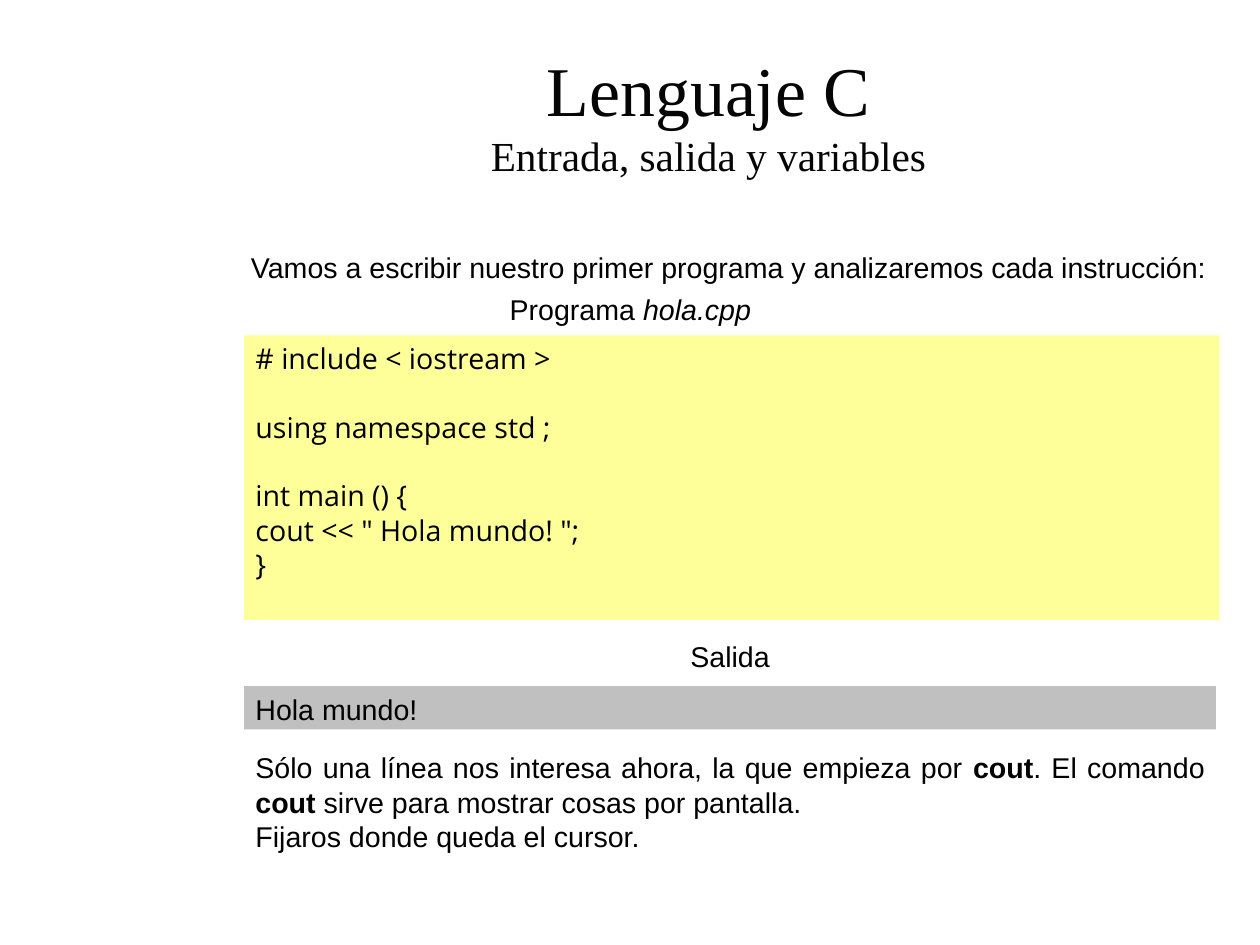
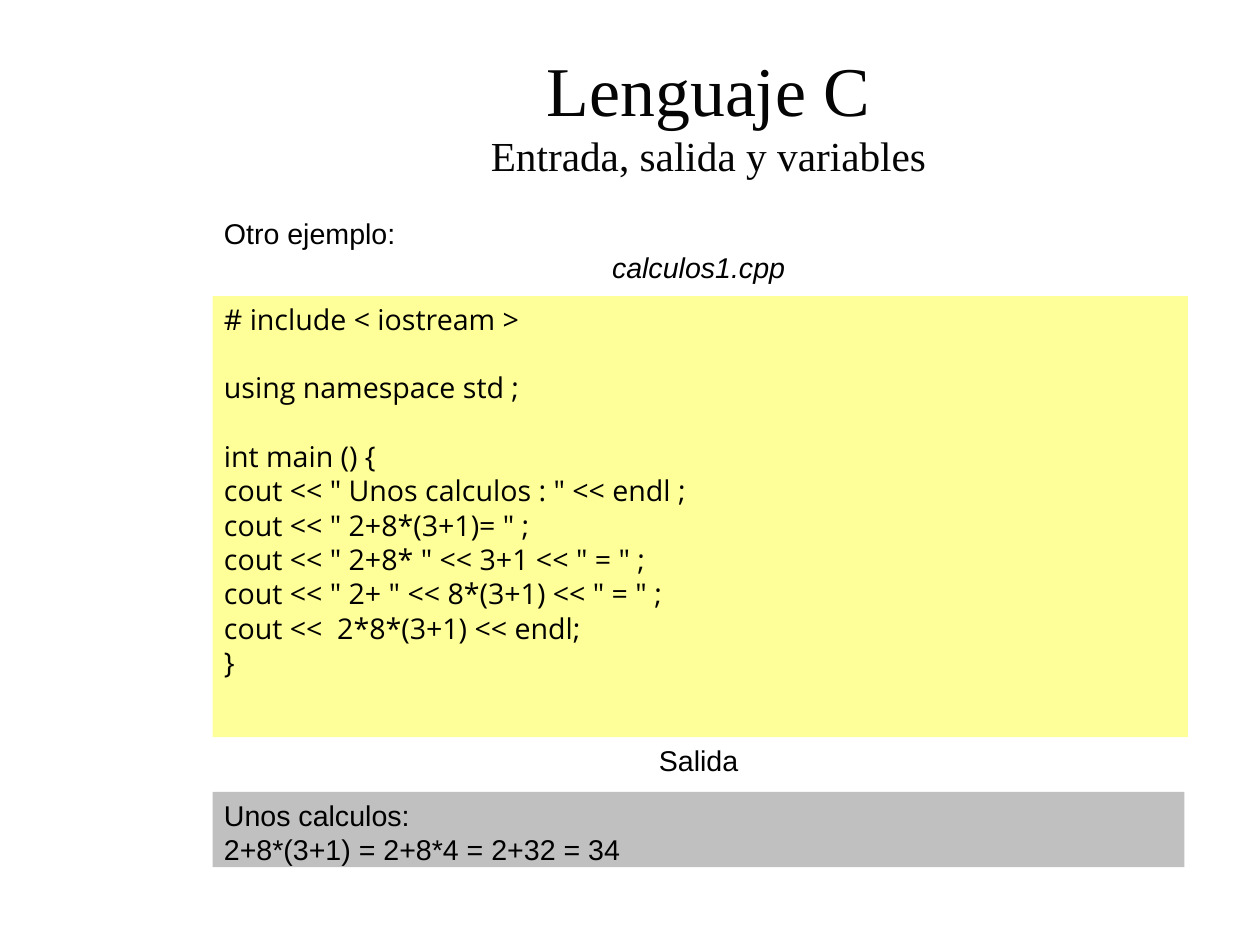
from pptx import Presentation
from pptx.dml.color import RGBColor
from pptx.enum.shapes import MSO_SHAPE
from pptx.enum.text import MSO_ANCHOR, PP_ALIGN
from pptx.util import Emu, Inches, Pt

LEFT, CENTER, JUSTIFY = PP_ALIGN.LEFT, PP_ALIGN.CENTER, PP_ALIGN.JUSTIFY
TOP, MIDDLE = MSO_ANCHOR.TOP, MSO_ANCHOR.MIDDLE
RECTANGLE = MSO_SHAPE.RECTANGLE

SLIDE_WIDTH, SLIDE_HEIGHT = Emu(10080625), Emu(7559675)
COLORS = {"title": "050505", "text": "000000", "code": "FFFF99", "output": "C0C0C0"}
BODY = {"name": "Arial", "size": Pt(18)}
CODE = {"name": "Open Sans", "size": Pt(18)}
TITLE = {"name": "Times New Roman", "size": Pt(44)}
SUBTITLE = {"name": "Times New Roman", "size": Pt(26)}
BOLD, ITALIC = {"bold": True}, {"italic": True}
LINE_PITCH = Pt(21.6)
INSETS = {"margin_left": Inches(0.1), "margin_right": Inches(0.1),
          "margin_top": Inches(0.05), "margin_bottom": Inches(0.05)}
NO_INSETS = dict.fromkeys(INSETS, 0)

# Shares of the slide, in percent
COLUMN_WIDTH, CODE_WIDTH = 77.13, 77.4
ONE_LINE, TWO_LINES, THREE_LINES = 4.59, 7.98, 11.37

PROGRAM_HEAD = [["# include < iostream >"], ["using namespace std ;"]]


def set_values(target, values):
    for name, value in values.items():
        setattr(target, name, value)


def place(left, top, width, height):
    """Turn percentages of the slide into lengths."""
    return (int(SLIDE_WIDTH * left / 100), int(SLIDE_HEIGHT * top / 100),
            int(SLIDE_WIDTH * width / 100), int(SLIDE_HEIGHT * height / 100))


def add_span(para, text, font, color="text"):
    span = para.add_run()
    span.text = text
    set_values(span.font, font)
    span.font.color.rgb = RGBColor.from_string(COLORS[color])


def add_box(page, area, fill=None, insets=INSETS, anchor=TOP):
    """Add a text box, or a filled rectangle, and return its text frame."""
    if fill:
        box = page.shapes.add_shape(RECTANGLE, *place(*area))
        box.shadow.inherit = False
        box.fill.solid()
        box.fill.fore_color.rgb = RGBColor.from_string(COLORS[fill])
        box.line.fill.background()
    else:
        box = page.shapes.add_textbox(*place(*area))
    frame = box.text_frame
    set_values(frame, {"word_wrap": True, "vertical_anchor": anchor, **insets})
    return frame


def write_lines(frame, lines, font=BODY):
    """Write (alignment, gap before, spans) lines; a span is (text, format)."""
    for index, (align, gap, spans) in enumerate(lines):
        para = frame.add_paragraph() if index else frame.paragraphs[0]
        set_values(para, {"alignment": align, "line_spacing": LINE_PITCH,
                          "space_before": gap})
        for text, extra in spans:
            add_span(para, text, {**font, **extra})


def add_text(page, area, *lines, fill=None):
    """Add body text; each line is (alignment, span, span, ...)."""
    write_lines(add_box(page, area, fill),
                [(align, 0, spans) for align, *spans in lines])


def add_code(page, left, top, height, blocks):
    """Add a listing whose blocks stand one line apart."""
    lines = [(LEFT, LINE_PITCH if block_number and not row else 0, [(text, {})])
             for block_number, block in enumerate(blocks)
             for row, text in enumerate(block)]
    write_lines(add_box(page, (left, top, CODE_WIDTH, height), "code"), lines, CODE)


def add_output(page, left, label_top, top, height, *texts):
    """Add the output label and the grey panel below it."""
    add_text(page, (left, label_top, COLUMN_WIDTH, ONE_LINE),
             (CENTER, ("Salida", {})))
    add_text(page, (left, top, COLUMN_WIDTH, height),
             *[(LEFT, (text, {})) for text in texts], fill="output")


def add_page(deck):
    """Add a blank slide with the shared title."""
    page = deck.slides.add_slide(deck.slide_layouts[6])
    frame = add_box(page, (16.06, 3.75, 80.4, 16.44), insets=NO_INSETS, anchor=MIDDLE)
    para = frame.paragraphs[0]
    para.alignment = CENTER
    add_span(para, "Lenguaje C", TITLE, "title")
    para.add_line_break()
    add_span(para, "Entrada, salida y variables", SUBTITLE, "title")
    return page


def build_hello(deck):
    page, left = add_page(deck), 19.38
    add_text(page, (19.02, 25.88, 79.95, ONE_LINE), (LEFT, (
        "Vamos a escribir nuestro primer programa y analizaremos cada instrucción:", {})))
    add_text(page, (39.56, 30.3, 26.77, ONE_LINE),
             (LEFT, ("Programa ", {}), ("hola.cpp", ITALIC)))
    add_code(page, left, 35.5, 30.11, PROGRAM_HEAD + [
        ["int main () {", 'cout << " Hola mundo! ";', "}"]])
    add_output(page, left, 66.99, 72.6, ONE_LINE, "Hola mundo!")
    add_text(page, (left, 78.8, COLUMN_WIDTH, THREE_LINES),
             (JUSTIFY,
              ("Sólo una línea nos interesa ahora, la que empieza por ", {}),
              ("cout", BOLD), (". El comando ", {}), ("cout ", BOLD),
              ("sirve para mostrar cosas por pantalla.", {})),
             (JUSTIFY, ("Fijaros donde queda el cursor.", {})))


def build_sums(deck):
    page, left = add_page(deck), 16.88
    add_text(page, (left, 22.25, COLUMN_WIDTH, TWO_LINES),
             (JUSTIFY, ("Otro ejemplo:", {})),
             (CENTER, ("calculos1.cpp", ITALIC)))
    add_code(page, left, 31.35, 46.67, PROGRAM_HEAD + [[
        "int main () {",
        'cout << " Unos calculos : " << endl ;',
        'cout << " 2+8*(3+1)= " ;',
        'cout << " 2+8* " << 3+1 << " = " ;',
        'cout << " 2+ " << 8*(3+1) << " = " ;',
        "cout <<  2*8*(3+1) << endl;",
        "}"]])
    add_output(page, left, 77.99, 83.8, TWO_LINES,
               "Unos calculos:", "2+8*(3+1) = 2+8*4 = 2+32 = 34")


def main():
    deck = Presentation()
    deck.slide_width = SLIDE_WIDTH
    deck.slide_height = SLIDE_HEIGHT
    build_hello(deck)
    build_sums(deck)
    deck.save("out.pptx")


if __name__ == "__main__":
    main()
